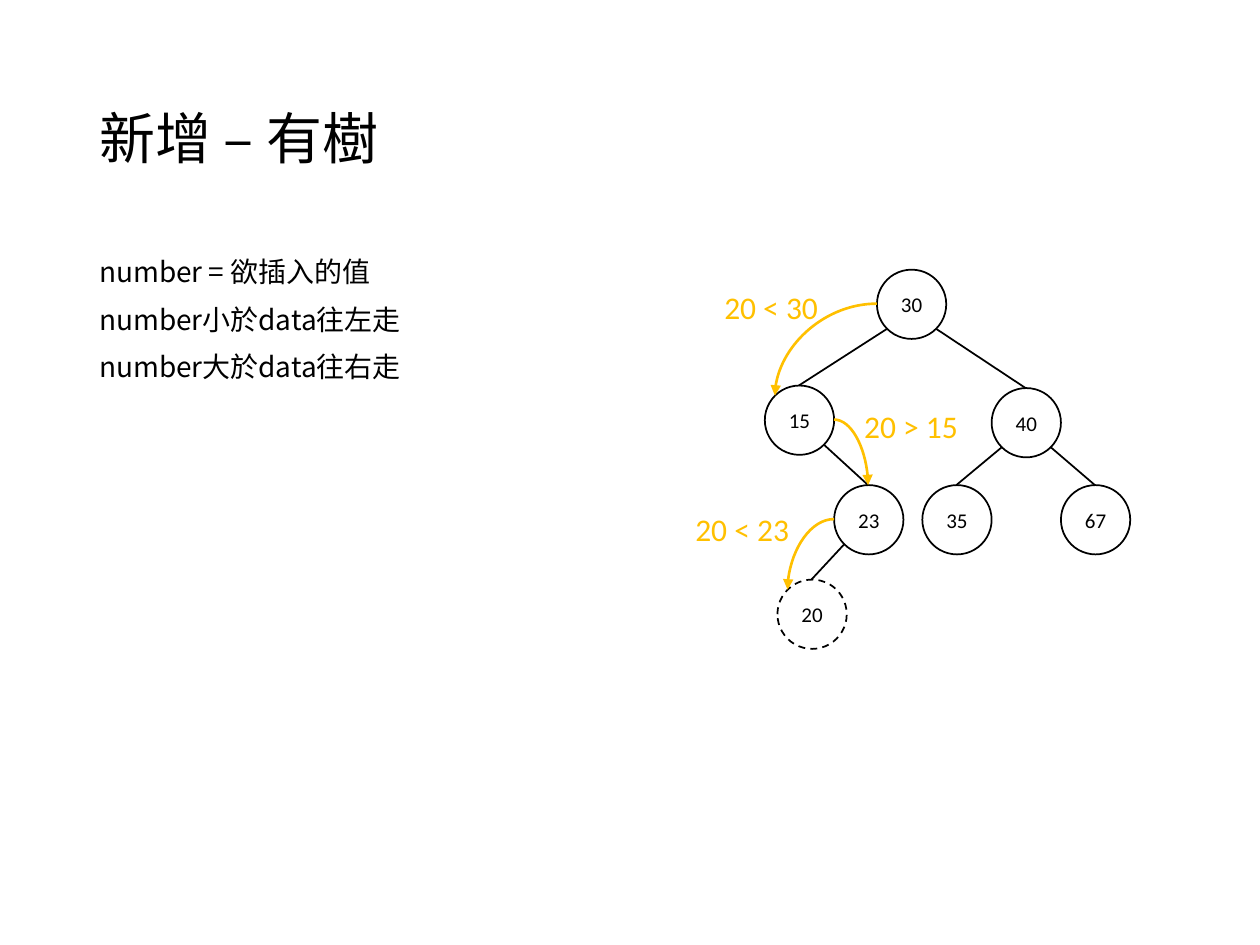
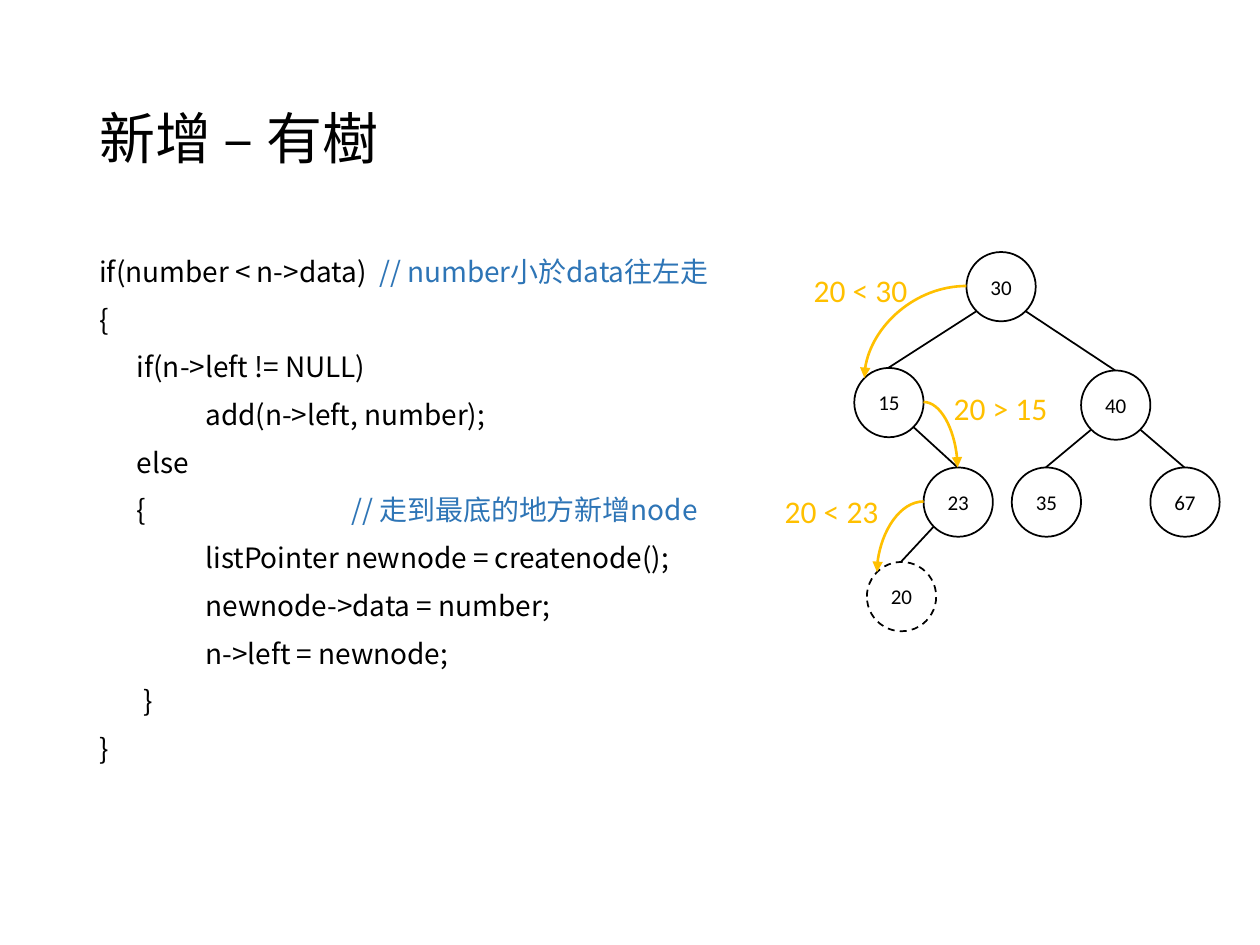
from dataclasses import dataclass

from lxml import etree
from pptx import Presentation
from pptx.dml.color import RGBColor
from pptx.enum.dml import MSO_LINE
from pptx.enum.shapes import MSO_CONNECTOR, MSO_SHAPE
from pptx.enum.text import MSO_ANCHOR, PP_ALIGN
from pptx.oxml.ns import qn
from pptx.util import Pt

PX = 9144
STRAIGHT, CURVE = MSO_CONNECTOR.STRAIGHT, MSO_CONNECTOR.CURVE
OVAL, DASH = MSO_SHAPE.OVAL, MSO_LINE.DASH
TOP, MIDDLE, CENTER = MSO_ANCHOR.TOP, MSO_ANCHOR.MIDDLE, PP_ALIGN.CENTER


@dataclass(frozen=True)
class Theme:
    ink: str = "000000"
    paper: str = "FFFFFF"
    accent: str = "FFC000"
    remark: str = "2E75B6"
    text_font: str = "Noto Sans CJK SC"
    tree_font: str = "Calibri"
    title_size: int = 32
    body_size: int = 16
    label_size: int = 18
    node_size: int = 12
    thin: float = 1
    thick: float = 1.5


TITLE = "新增 – 有樹"
RULES = [("number = 欲插入的值",), ("number小於data往左走",), ("number大於data往右走",)]
CODE = [
    ("if(number < n->data)", "// number小於data往左走", 222),
    ("{",),
    ("      if(n->left != NULL)",),
    ("                 add(n->left, number);",),
    ("      else",),
    ("      {", "// 走到最底的地方新增node", 200),
    ("                 listPointer newnode = createnode();",),
    ("                 newnode->data = number;",),
    ("                 n->left = newnode;",),
    ("       }",),
    ("}",),
]
DIAMETER, RIM = 55, 8
NODES = {30: (154, 0), 40: (245, 94), 15: (65, 92), 23: (120, 171),
         35: (190, 171), 67: (300, 171), 20: (75, 246)}
NEW_NODE = 20
EDGES = [(30, 15), (15, 23), (40, 67), (40, 35), (30, 40), (23, 20)]
STEPS = [(30, 15, "20 < 30", (23, 10)), (23, 20, "20 < 23", (0, 186)),
         (15, 23, "20 > 15", (134, 104))]


class Painter:
    """Draws themed elements on the current page of a deck."""

    def __init__(self, theme):
        self.theme = theme
        self.deck = Presentation()
        self.deck.slide_width, self.deck.slide_height = 1000 * PX, 750 * PX
        self.page = None

    def new_page(self):
        self.page = self.deck.slides.add_slide(self.deck.slide_layouts[6])

    def apply(self, target, values):
        for name, value in values.items():
            setattr(target, name, value)

    def span(self, para, text, font, size, color):
        span = para.add_run()
        span.text = text
        self.apply(span.font, {"name": font, "size": Pt(size)})
        span.font.color.rgb = RGBColor.from_string(color)
        east_asian = etree.SubElement(span.font._element, qn("a:ea"))
        east_asian.set("typeface", font)

    def text(self, area, lines, size, anchor=TOP):
        box = self.page.shapes.add_textbox(*(value * PX for value in area))
        self.apply(box.text_frame, {"word_wrap": True, "vertical_anchor": anchor})
        for index, (line, *remark) in enumerate(lines):
            para = box.text_frame.paragraphs[0] if index == 0 else box.text_frame.add_paragraph()
            self.apply(para, {"line_spacing": 0.9, "space_before": Pt(10 if index else 0)})
            self.span(para, line, self.theme.text_font, size, self.theme.ink)
            if remark:
                comment, stop = remark
                tabs = etree.SubElement(para._p.get_or_add_pPr(), qn("a:tabLst"))
                etree.SubElement(tabs, qn("a:tab"), pos=str(stop * PX), algn="l")
                self.span(para, "\t" + comment, self.theme.text_font, size, self.theme.remark)

    def label(self, left, top, text):
        box = self.page.shapes.add_textbox(left * PX, top * PX, 96 * PX, 40 * PX)
        box.text_frame.word_wrap = False
        self.span(box.text_frame.paragraphs[0], text, self.theme.tree_font,
                  self.theme.label_size, self.theme.accent)

    def node(self, left, top, text, dashed):
        node = self.page.shapes.add_shape(OVAL, left * PX, top * PX, DIAMETER * PX, DIAMETER * PX)
        node.shadow.inherit = False
        node.fill.solid()
        node.fill.fore_color.rgb = RGBColor.from_string(self.theme.paper)
        self.stroke(node.line, self.theme.ink, self.theme.thin)
        if dashed:
            node.line.dash_style = DASH
        self.apply(node.text_frame, {"word_wrap": False, "vertical_anchor": MIDDLE})
        para = node.text_frame.paragraphs[0]
        para.alignment = CENTER
        self.span(para, text, self.theme.tree_font, self.theme.node_size, self.theme.ink)

    def stroke(self, line, color, width):
        line.color.rgb = RGBColor.from_string(color)
        line.width = Pt(width)

    def connector(self, kind, start, end, color, width):
        link = self.page.shapes.add_connector(kind, *(value * PX for value in start + end))
        self.stroke(link.line, color, width)
        etree.SubElement(link._element.spPr, qn("a:effectLst"))
        return link

    def edge(self, start, end):
        self.connector(STRAIGHT, start, end, self.theme.ink, self.theme.thin)

    def arrow(self, start, end):
        link = self.connector(CURVE, start, end, self.theme.accent, self.theme.thick)
        properties = link._element.spPr
        properties.find(qn("a:prstGeom")).set("prst", "curvedConnector2")
        etree.SubElement(properties.find(qn("a:ln")), qn("a:tailEnd"), type="triangle")
        if end[0] < start[0]:
            frame = properties.find(qn("a:xfrm"))
            del frame.attrib["flipH"]
            frame.set("rot", "10800000")
            frame.set("flipV", "1")

    def tree(self, left, top):
        spots = {key: (left + x, top + y) for key, (x, y) in NODES.items()}
        half, far = DIAMETER // 2, DIAMETER - RIM
        for key, spot in spots.items():
            self.node(*spot, str(key), key == NEW_NODE)
        for parent, child in EDGES:
            (x, y), (child_x, child_y) = spots[parent], spots[child]
            side = RIM if child_x < x else far
            self.edge((x + side, y + far), (child_x + half, child_y))
        for parent, child, text, (label_x, label_y) in STEPS:
            (x, y), (child_x, child_y) = spots[parent], spots[child]
            if child_x < x:
                self.arrow((x, y + half), (child_x + RIM, child_y + RIM))
            else:
                self.arrow((x + DIAMETER, y + half), (child_x + half, child_y))
            self.label(left + label_x, top + label_y, text)


def main():
    painter = Painter(Theme())
    for lines, tree_left, tree_top in ((RULES, 542, 214), (CODE, 613, 200)):
        painter.new_page()
        painter.text((69, 40, 862, 145), [(TITLE,)], painter.theme.title_size, MIDDLE)
        painter.text((69, 200, 862, 524), lines, painter.theme.body_size)
        painter.tree(tree_left, tree_top)
    painter.deck.save("out.pptx")


if __name__ == "__main__":
    main()
